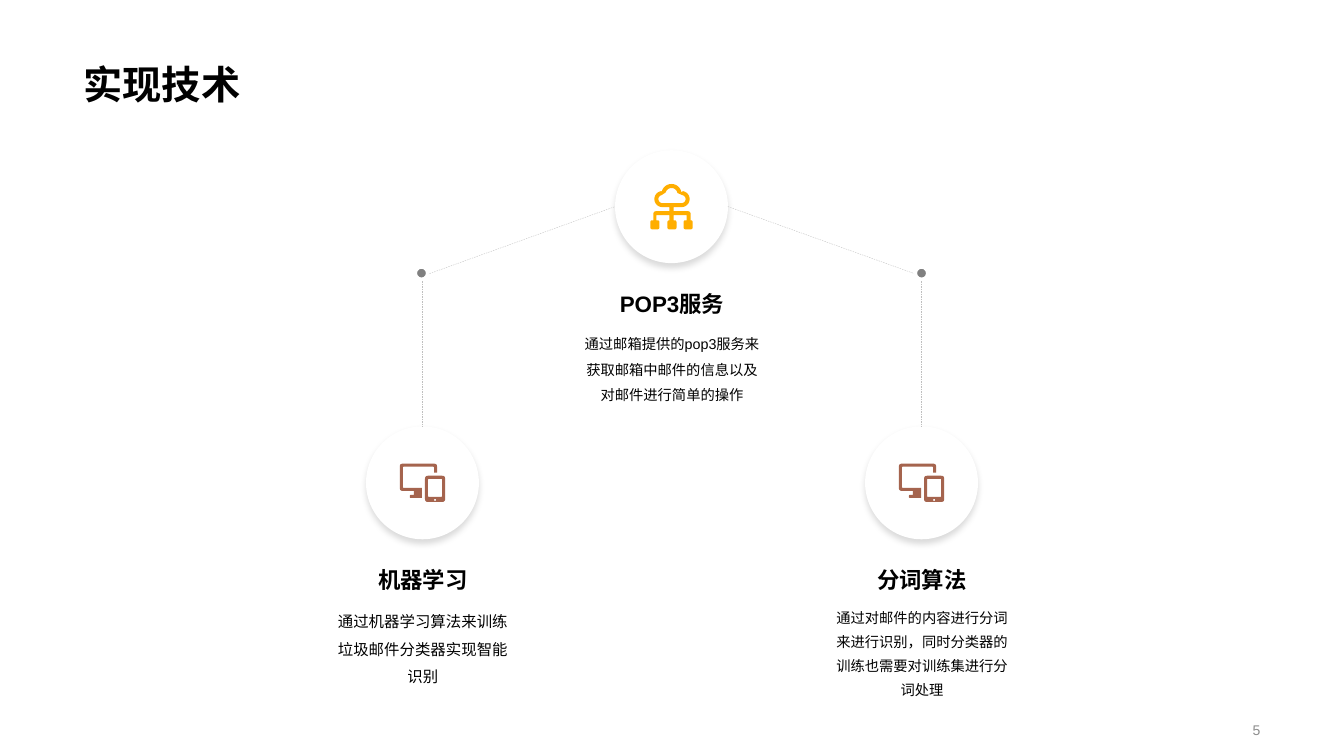
import math

from lxml import etree
from pptx import Presentation
from pptx import util as u
from pptx.dml.color import RGBColor
from pptx.enum import dml, shapes, text
from pptx.oxml import parse_xml
from pptx.oxml.ns import nsdecls, qn

BLACK = RGBColor(0x00, 0x00, 0x00)
WHITE = RGBColor(0xFF, 0xFF, 0xFF)
PAGE_GRAY = RGBColor(0x8C, 0x8C, 0x8C)
LINE_GRAY = RGBColor(0xBF, 0xBF, 0xBF)
DOT_GRAY = RGBColor(0x80, 0x80, 0x80)
AMBER = RGBColor(0xFF, 0xAE, 0x00)
BROWN = RGBColor(0xA5, 0x64, 0x4E)

presentation = Presentation()
presentation.slide_width = u.Inches(13.33)
presentation.slide_height = u.Inches(7.5)
slide = presentation.slides.add_slide(presentation.slide_layouts[5])


def add_text(words, left, top, width, height, shape=None, size=16, color=BLACK,
             bold=False, align=text.PP_ALIGN.CENTER,
             anchor=text.MSO_ANCHOR.BOTTOM, spacing=1.0):
    if shape is None:
        shape = slide.shapes.add_textbox(0, 0, 0, 0)
    shape.left, shape.top = u.Inches(left), u.Inches(top)
    shape.width, shape.height = u.Inches(width), u.Inches(height)
    frame = shape.text_frame
    frame.word_wrap = True
    frame.auto_size = text.MSO_AUTO_SIZE.NONE
    frame.vertical_anchor = anchor
    paragraph = frame.paragraphs[0]
    paragraph.alignment = align
    paragraph.line_spacing = spacing
    run = paragraph.add_run()
    run.text = words
    run.font.name = "Arial"
    run.font.size = u.Pt(size)
    run.font.bold = bold
    run.font.color.rgb = color


def add_icon(left, top, contours, color):
    """Draw closed contours of (x, y, corner radius) as one shape with holes."""
    builder = None
    for corners in contours:
        points = []
        for i, (x, y, radius) in enumerate(corners):
            if not radius:
                points.append((x, y))
                continue
            ends = []
            for nx, ny, _ in (corners[i - 1], corners[(i + 1) % len(corners)]):
                share = radius / math.hypot(nx - x, ny - y)
                ends.append((x + (nx - x) * share, y + (ny - y) * share))
            (ax, ay), (bx, by) = ends
            for t in (0, 0.2, 0.4, 0.6, 0.8, 1):
                a, c, b = (1 - t) ** 2, 2 * t * (1 - t), t ** 2
                points.append((a * ax + c * x + b * bx, a * ay + c * y + b * by))
        points = [(u.Inches(left + x), u.Inches(top + y)) for x, y in points]
        if builder is None:
            builder = slide.shapes.build_freeform(*points[0], scale=1.0)
        else:
            builder.move_to(*points[0])
        builder.add_line_segments(points[1:], close=True)
    icon = builder.convert_to_shape()
    icon.shadow.inherit = False
    icon.fill.solid()
    icon.fill.fore_color.rgb = color
    icon.line.fill.background()


# Devices icon: monitor, tablet, tablet screen, tablet button
monitor = [(0, 0, 0.03), (0.37, 0, 0.03), (0.37, 0.09, 0), (0.34, 0.09, 0),
           (0.34, 0.03, 0.01), (0.03, 0.03, 0.01), (0.03, 0.24, 0.01),
           (0.22, 0.24, 0), (0.22, 0.34, 0), (0.1, 0.34, 0.01),
           (0.1, 0.31, 0.01), (0.14, 0.31, 0), (0.14, 0.27, 0), (0, 0.27, 0.03)]
devices = [monitor]
for x1, y1, x2, y2, radius in [(0.25, 0.12, 0.45, 0.38, 0.03),
                               (0.28, 0.15, 0.42, 0.33, 0.01),
                               (0.34, 0.35, 0.36, 0.37, 0.01)]:
    devices.append([(x1, y1, radius), (x2, y1, radius),
                    (x2, y2, radius), (x1, y2, radius)])

# Cloud icon: outer and inner cloud outlines, tree, three nodes
cloud = []
for inset in (0, 0.04):
    outline = []
    for cx, cy, radius, start, end in [(0.12, 0.15, 0.08, 90, 260),
                                       (0.21, 0.1, 0.1, 195, 350),
                                       (0.31, 0.15, 0.08, 280, 450)]:
        for step in range(13):
            angle = math.radians(start + (end - start) * step / 12)
            outline.append((cx + (radius - inset) * math.cos(angle),
                            cy + (radius - inset) * math.sin(angle), 0))
    cloud.append(outline)
cloud.append([(0.19, 0.23, 0), (0.23, 0.23, 0), (0.23, 0.27, 0),
              (0.4, 0.27, 0.03), (0.4, 0.36, 0), (0.36, 0.36, 0),
              (0.36, 0.31, 0), (0.23, 0.31, 0), (0.23, 0.36, 0),
              (0.19, 0.36, 0), (0.19, 0.31, 0), (0.06, 0.31, 0),
              (0.06, 0.36, 0), (0.03, 0.36, 0), (0.03, 0.27, 0.03),
              (0.19, 0.27, 0)])
for x in (0, 0.17, 0.33):
    cloud.append([(x, 0.36, 0.02), (x + 0.09, 0.36, 0.02),
                  (x + 0.09, 0.45, 0.02), (x, 0.45, 0.02)])

# Title and page number
add_text("实现技术", 0.73, 0, 11.87, 1.12, shape=slide.shapes.title, size=28,
         bold=True, align=text.PP_ALIGN.LEFT, spacing=0.9)
add_text("5", 9.42, 7.13, 3.18, 0.23, size=10, color=PAGE_GRAY,
         align=text.PP_ALIGN.RIGHT, anchor=text.MSO_ANCHOR.MIDDLE)

# Technologies: center, circle top, icon, icon size, color, heading, description
technologies = [
    (4.19, 4.23, devices, 0.45, 0.38, BROWN, "机器学习",
     "通过机器学习算法来训练垃圾邮件分类器实现智能识别", 11, 1.5),
    (6.66, 1.49, cloud, 0.42, 0.45, AMBER, "POP3服务",
     "通过邮箱提供的pop3服务来获取邮箱中邮件的信息以及对邮件进行简单的操作", 10.2, 1.5),
    (9.14, 4.23, devices, 0.45, 0.38, BROWN, "分词算法",
     "通过对邮件的内容进行分词来进行识别，同时分类器的训练也需要对训练集进行分词处理", 10.2, 1.4),
]
for (center, top, icon, icon_width, icon_height, color,
     heading, description, size, spacing) in technologies:
    circle = slide.shapes.add_shape(
        shapes.MSO_SHAPE.OVAL, u.Inches(center - 0.56), u.Inches(top),
        u.Inches(1.12), u.Inches(1.12))
    circle.shadow.inherit = False
    circle.fill.solid()
    circle.fill.fore_color.rgb = WHITE
    circle.line.fill.background()
    circle._element.spPr.find(qn("a:effectLst")).append(parse_xml(
        f'<a:outerShdw {nsdecls("a")} blurRad="{u.Pt(5)}" dist="{u.Pt(3)}" '
        'dir="5400000" algn="t" rotWithShape="0"><a:srgbClr val="000000">'
        '<a:alpha val="15000"/></a:srgbClr></a:outerShdw>'))
    add_icon(center - icon_width / 2, top + 0.56 - icon_height / 2, icon, color)
    add_text(description, center - 0.98, top + 1.7, 1.97, 1.04, size=size,
             anchor=text.MSO_ANCHOR.TOP, spacing=spacing)
    add_text(heading, center - 0.98, top + 1.28, 1.97, 0.42, bold=True)

# Dashed lines from the top circle through the joints to the lower circles
for x1, y1, x2, y2 in [(4.19, 2.74, 6.1, 2.05), (7.22, 2.05, 9.14, 2.74),
                       (9.14, 2.74, 9.14, 4.23), (4.19, 2.74, 4.19, 4.23)]:
    connector = slide.shapes.add_connector(
        shapes.MSO_CONNECTOR.STRAIGHT,
        u.Inches(x1), u.Inches(y1), u.Inches(x2), u.Inches(y2))
    connector.line.color.rgb = LINE_GRAY
    connector.line.width = u.Pt(0.25)
    connector.line.dash_style = dml.MSO_LINE.DASH
    etree.SubElement(connector._element.spPr, qn("a:effectLst"))

# Joint dots
for center in (4.18, 9.14):
    dot = slide.shapes.add_shape(
        shapes.MSO_SHAPE.FLOWCHART_CONNECTOR, u.Inches(center - 0.06),
        u.Inches(2.65), u.Inches(0.12), u.Inches(0.12))
    dot.shadow.inherit = False
    dot.fill.solid()
    dot.fill.fore_color.rgb = DOT_GRAY
    dot.line.color.rgb = WHITE
    dot.line.width = u.Pt(2.25)

presentation.save("out.pptx")
